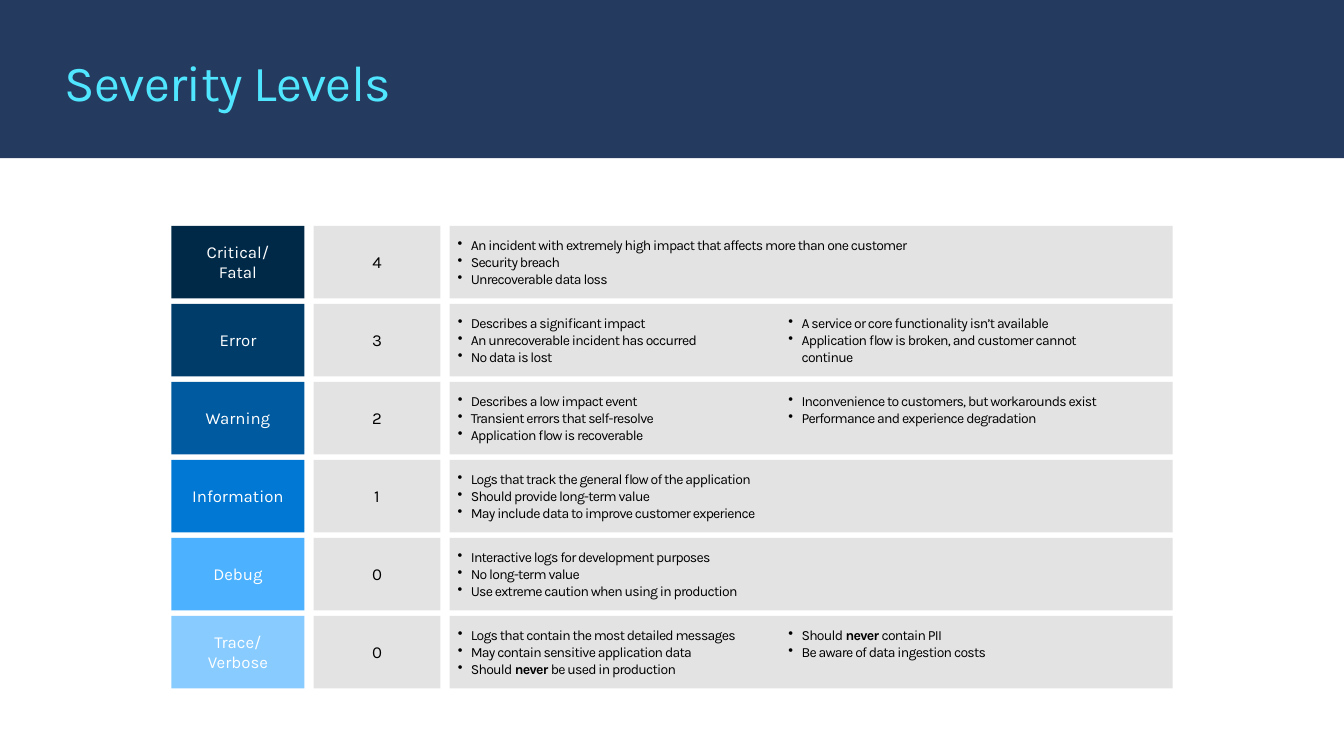
from lxml import etree
from pptx import Presentation
from pptx.dml.color import RGBColor
from pptx.enum.shapes import MSO_SHAPE
from pptx.enum.text import MSO_ANCHOR, MSO_AUTO_SIZE, PP_ALIGN
from pptx.oxml.ns import qn
from pptx.util import Inches, Pt

RECT = MSO_SHAPE.RECTANGLE
TOP, MIDDLE = MSO_ANCHOR.TOP, MSO_ANCHOR.MIDDLE
LEFT, CENTER = PP_ALIGN.LEFT, PP_ALIGN.CENTER
GROW = MSO_AUTO_SIZE.SHAPE_TO_FIT_TEXT

NAVY = RGBColor(0x24, 0x3A, 0x5E)
CYAN = RGBColor(0x50, 0xE6, 0xFF)
GRAY = RGBColor(0x73, 0x73, 0x73)
BLACK = RGBColor(0x00, 0x00, 0x00)
WHITE = RGBColor(0xFF, 0xFF, 0xFF)
FATAL = RGBColor(0x00, 0x29, 0x48)
ERROR = RGBColor(0x00, 0x3C, 0x6A)
WARNING = RGBColor(0x00, 0x5A, 0x9F)
INFO = RGBColor(0x00, 0x78, 0xD4)
DEBUG = RGBColor(0x4C, 0xB1, 0xFF)
TRACE = RGBColor(0x88, 0xCB, 0xFF)

FONT = "Karla"
FIRST, LAST, HEIGHT = 2.24, 6.11, 0.72
HALF, FULL = 3.19, 7.03

LEVELS = [
    (["Critical/", "Fatal"], "4", FATAL, [
        ["An incident with extremely high impact that affects more than one customer",
         "Security breach",
         "Unrecoverable data loss"]]),
    (["Error"], "3", ERROR, [
        ["Describes a significant impact",
         "An unrecoverable incident has occurred",
         "No data is lost"],
        ["A service or core functionality isn’t available",
         "Application flow is broken, and customer cannot continue"]]),
    (["Warning"], "2", WARNING, [
        ["Describes a low impact event",
         "Transient errors that self-resolve",
         "Application flow is recoverable"],
        ["Inconvenience to customers, but workarounds exist",
         "Performance and experience degradation"]]),
    (["Information"], "1", INFO, [
        ["Logs that track the general flow of the application",
         "Should provide long-term value",
         "May include data to improve customer experience"]]),
    (["Debug"], "0", DEBUG, [
        ["Interactive logs for development purposes",
         "No long-term value",
         "Use extreme caution when using in production"]]),
    (["Trace/", "Verbose"], "0", TRACE, [
        ["Logs that contain the most detailed messages",
         "May contain sensitive application data",
         "Should *never* be used in production"],
        ["Should *never* contain PII",
         "Be aware of data ingestion costs"]]),
]


def add_bullet(para):
    props = para._p.get_or_add_pPr()
    props.set("marL", str(Inches(0.13)))
    props.set("indent", str(-Inches(0.13)))
    etree.SubElement(props, qn("a:buChar")).set("char", "•")


def write(shape, lines, size=12, color=BLACK, align=LEFT, anchor=TOP,
          inset=(0, 0), bullet=False, tight=False):
    frame = shape.text_frame
    frame.word_wrap = True
    frame.vertical_anchor = anchor
    frame.margin_left = frame.margin_right = Inches(inset[0])
    frame.margin_top = frame.margin_bottom = Inches(inset[1])
    for i, line in enumerate(lines):
        para = frame.add_paragraph() if i else frame.paragraphs[0]
        para.alignment = align
        if bullet:
            add_bullet(para)
        for part, text in enumerate(line.split("*")):
            run = para.add_run()
            run.text = text
            run.font.name = FONT
            run.font.size = Pt(size)
            run.font.bold = part % 2 == 1
            run.font.color.rgb = color
            if tight:
                run._r.get_or_add_rPr().set("spc", "-50")


def add_block(slide, left, top, width, height, fill, alpha=None):
    block = slide.shapes.add_shape(
        RECT, Inches(left), Inches(top), Inches(width), Inches(height))
    block.shadow.inherit = False
    block.fill.solid()
    block.fill.fore_color.rgb = fill
    block.line.fill.background()
    if alpha:
        tint = block._element.spPr.find(qn("a:solidFill"))[0]
        etree.SubElement(tint, qn("a:alpha")).set("val", str(alpha * 1000))
    return block


def add_label(slide, left, top, width, lines, fill, color, alpha=None):
    block = add_block(slide, left, top, width, HEIGHT, fill, alpha)
    write(block, lines, color=color, align=CENTER, anchor=MIDDLE,
          inset=(0.2, 0.16))


def add_text(slide, left, top, width, height, lines, **style):
    box = slide.shapes.add_textbox(
        Inches(left), Inches(top), Inches(width), Inches(height))
    write(box, lines, tight=True, **style)
    return box


def add_level(slide, top, names, number, fill, lists):
    add_label(slide, 1.7, top, 1.32, names, fill, WHITE)
    add_label(slide, 3.11, top, 1.26, [number], GRAY, BLACK, alpha=20)
    add_block(slide, 4.46, top, 7.17, HEIGHT, GRAY, alpha=20)
    width = HALF if len(lists) > 1 else FULL
    for left, lines in zip((4.54, 7.82), lists):
        box = add_text(slide, left, top + 0.11, width, len(lines) / 6,
                       lines, size=10, bullet=True)
        box.text_frame.auto_size = GROW


def main():
    deck = Presentation()
    deck.slide_width, deck.slide_height = Inches(13.33), Inches(7.5)
    slide = deck.slides.add_slide(deck.slide_layouts[6])
    add_block(slide, 0, 0, 13.33, 1.57, NAVY)
    add_text(slide, 0.64, 0.5, 12.05, 0.61, ["Severity Levels"],
             size=36, color=CYAN, anchor=MIDDLE)
    pitch = (LAST - FIRST) / (len(LEVELS) - 1)
    for i, level in enumerate(LEVELS):
        add_level(slide, FIRST + i * pitch, *level)
    deck.save("out.pptx")


if __name__ == "__main__":
    main()
